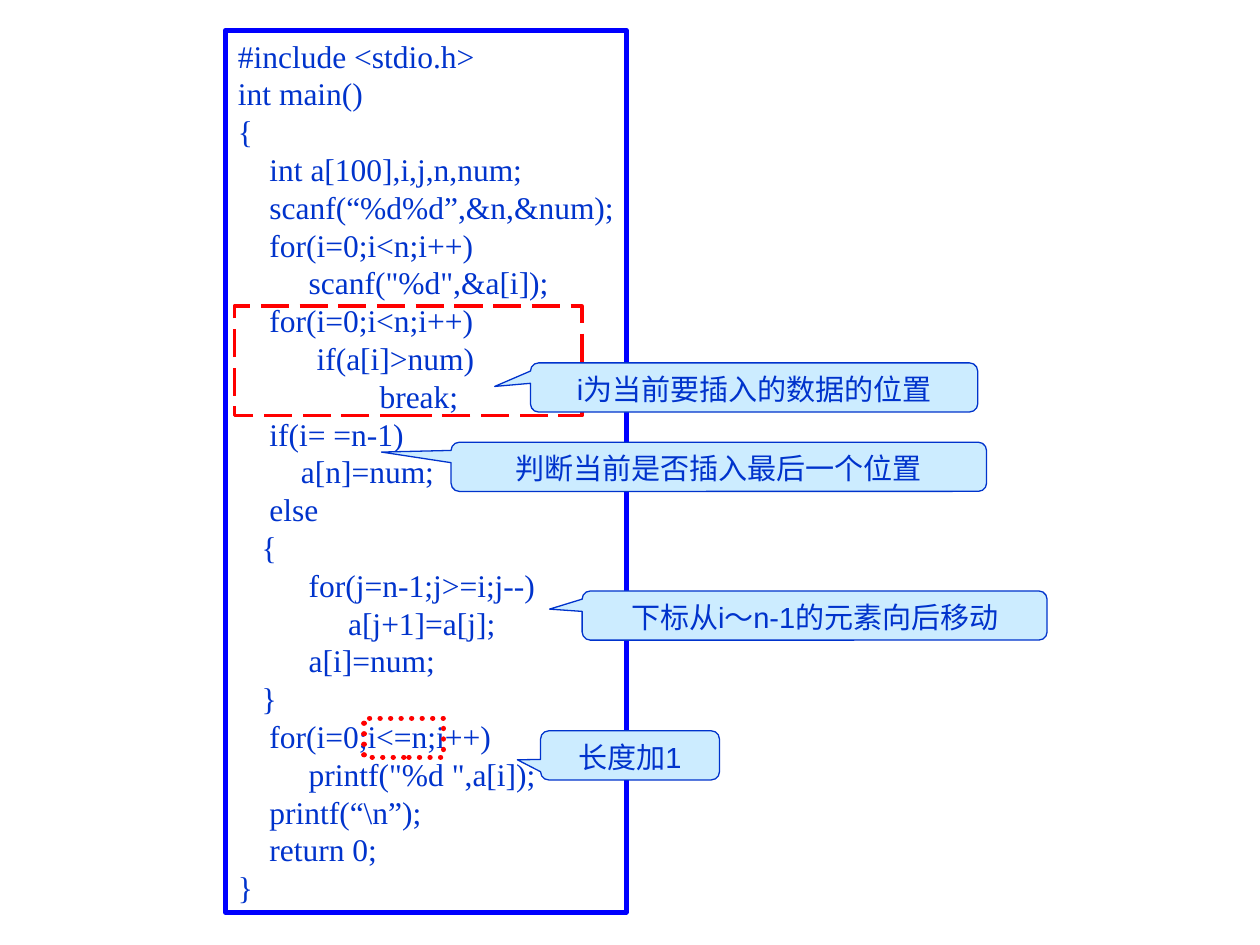
from pptx import Presentation
from pptx.dml.color import RGBColor
from pptx.enum.dml import MSO_LINE as Dash
from pptx.enum.shapes import MSO_SHAPE as Shape
from pptx.enum.text import MSO_ANCHOR as Anchor, PP_ALIGN as Align
from pptx.oxml.ns import qn
from pptx.util import Inches, Pt

INK = "0033CC"
RED = "FF0000"

PROGRAM = r'''#include <stdio.h>
int main()
{
    int a[100],i,j,n,num;
    scanf(“%d%d”,&n,&num);
    for(i=0;i<n;i++)
         scanf("%d",&a[i]);
    for(i=0;i<n;i++)
          if(a[i]>num)
                  break;
    if(i= =n-1)
        a[n]=num;
    else
   {
         for(j=n-1;j>=i;j--)
              a[j+1]=a[j];
         a[i]=num;
   }
    for(i=0;i<=n;i++)
         printf("%d ",a[i]);
    printf(“\n”);
    return 0;
}'''


def rgb(value):
    """Return the colour for a hex string."""
    return RGBColor.from_string(value)


def add_box(slide, kind, bounds, line, weight, fill=None):
    """Add an outlined shape, filled only when a fill is given."""
    box = slide.shapes.add_shape(kind, *map(Inches, bounds))
    box.shadow.inherit = False
    box.line.color.rgb = rgb(line)
    box.line.width = Pt(weight)
    if fill:
        box.fill.solid()
        box.fill.fore_color.rgb = rgb(fill)
    else:
        box.fill.background()
    return box


def write(box, text, font, size, align, anchor, wrap):
    """Write one paragraph per line of text into a box."""
    frame = box.text_frame
    frame.word_wrap = wrap
    frame.vertical_anchor = anchor
    frame.text = text
    for paragraph in frame.paragraphs:
        paragraph.alignment = align
        paragraph.font.name = font
        paragraph.font.size = Pt(size)
        paragraph.font.color.rgb = rgb(INK)


def add_listing(slide, bounds, code):
    """Add the framed program listing."""
    frame = add_box(slide, Shape.RECTANGLE, bounds, "0000FF", 3, "FFFFFF")
    write(frame, code, "Times New Roman", 18, Align.LEFT, Anchor.MIDDLE, False)


def add_highlight(slide, bounds, weight, dash, cap="flat"):
    """Add a red broken outline around part of the code."""
    outline = add_box(slide, Shape.RECTANGLE, bounds, RED, weight)
    outline.line.dash_style = dash
    outline._element.spPr.find(qn("a:ln")).set("cap", cap)


def add_callout(slide, bounds, tip, text):
    """Add a speech bubble whose tip is offset from its centre."""
    bubble = add_box(slide, Shape.ROUNDED_RECTANGULAR_CALLOUT, bounds, INK, 0.75, "CCECFF")
    bubble.adjustments[0], bubble.adjustments[1] = tip
    write(bubble, text, "Arial", 16.6, Align.CENTER, Anchor.TOP, True)


def main():
    """Build the annotated insertion program slide."""
    deck = Presentation()
    deck.slide_width, deck.slide_height = Inches(10), Inches(7.5)
    slide = deck.slides.add_slide(deck.slide_layouts[6])

    add_listing(slide, (1.79, 0.24, 3.18, 7), PROGRAM)
    add_highlight(slide, (2.89, 5.7, 0.63, 0.31), 3, Dash.ROUND_DOT, "rnd")
    add_highlight(slide, (1.86, 2.43, 2.76, 0.87), 2, Dash.LONG_DASH)

    notes = [
        (4.29, 5.8, 1.42, (-0.63, 0.09), "长度加1"),
        (4.62, 4.69, 3.69, (-0.57, -0.13), "下标从i～n-1的元素向后移动"),
        (4.21, 2.88, 3.55, (-0.58, -0.02), "i为当前要插入的数据的位置"),
        (3.58, 3.51, 4.25, (-0.63, -0.3), "判断当前是否插入最后一个位置"),
    ]
    for left, top, width, tip, text in notes:
        add_callout(slide, (left, top, width, 0.39), tip, text)

    deck.save("out.pptx")


if __name__ == "__main__":
    main()
